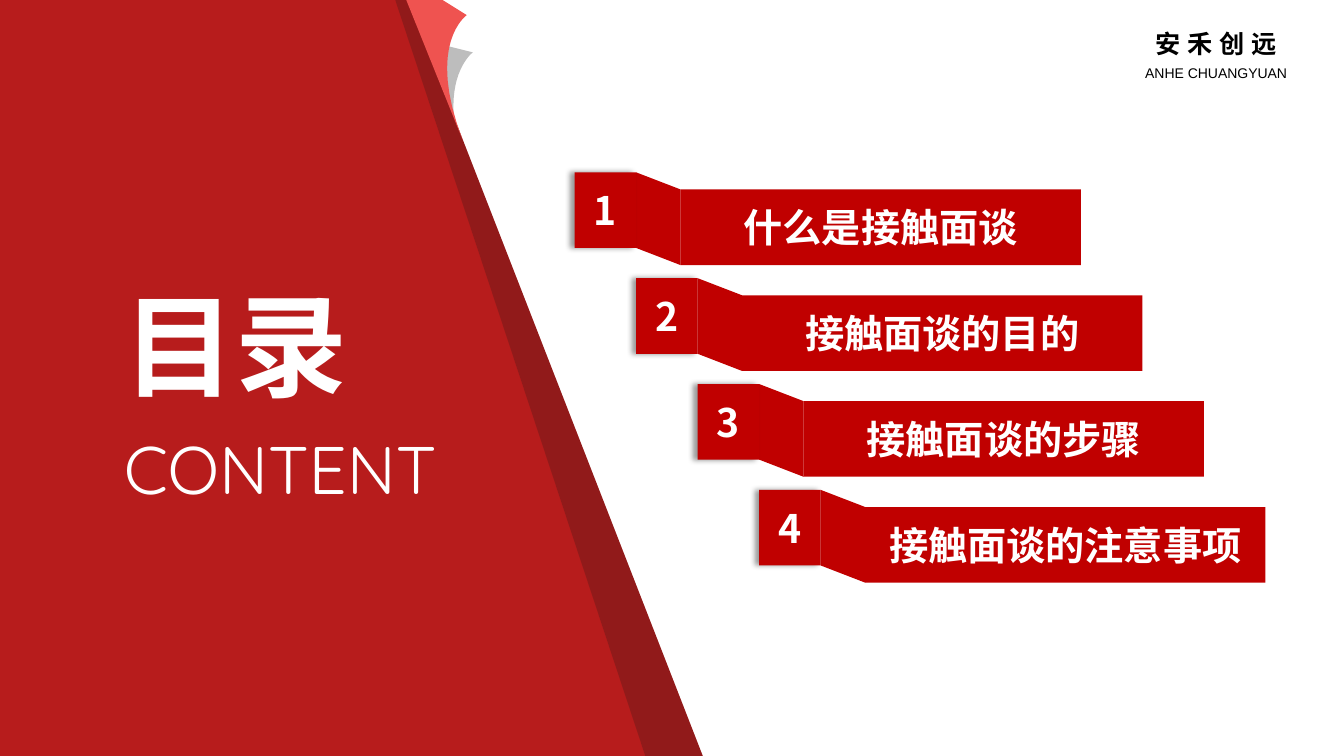
from lxml.etree import SubElement
from pptx import Presentation
from pptx.dml.color import RGBColor
from pptx.enum.shapes import MSO_SHAPE
from pptx.enum.text import MSO_ANCHOR, PP_ALIGN
from pptx.oxml.ns import qn
from pptx.util import Inches, Pt

SANS = "Noto Sans CJK SC"
TOPICS = ["什么是接触面谈", "接触面谈的目的", "接触面谈的步骤", "接触面谈的注意事项"]


def color(code):
    return RGBColor.from_string(code)


def paint(shape, fill, alpha=None):
    shape.shadow.inherit = False
    shape.fill.solid()
    shape.fill.fore_color.rgb = color(fill)
    shape.line.fill.background()
    if alpha:
        tint = shape.fill._xPr.find(qn("a:solidFill"))[0]
        SubElement(tint, qn("a:alpha"), val=str(alpha * 1000))
    return shape


def write(shape, text, size=28, font=SANS, fill="FFFFFF", bold=False,
          align=PP_ALIGN.LEFT, anchor=MSO_ANCHOR.TOP, gap=0):
    frame = shape.text_frame
    frame.word_wrap = True
    frame.vertical_anchor = anchor
    para = frame.paragraphs[0]
    para.alignment = align
    run = para.add_run()
    run.text = text
    run.font.size = Pt(size)
    run.font.name = font
    run.font.bold = bold
    run.font.color.rgb = color(fill)
    props = run._r.get_or_add_rPr()
    SubElement(props, qn("a:ea"), typeface=font)
    if gap:
        props.set("spc", str(gap * 100))


def label(slide, box, text, **style):
    write(slide.shapes.add_textbox(*map(Inches, box)), text, **style)


def block(slide, box, text):
    shape = slide.shapes.add_shape(MSO_SHAPE.RECTANGLE, *map(Inches, box))
    write(paint(shape, "C00000"), text, bold=True,
          align=PP_ALIGN.CENTER, anchor=MSO_ANCHOR.MIDDLE)
    return shape


def outline(slide, points, fill, alpha=None):
    dots = [(Inches(x), Inches(y)) for x, y in points]
    path = slide.shapes.build_freeform(*dots[0])
    path.add_line_segments(dots[1:], close=True)
    return paint(path.convert_to_shape(), fill, alpha)


def curve(start, bend, pull, end, steps=16):
    """Points along a cubic curve."""
    dots = []
    for n in range(steps + 1):
        t = n / steps
        u = 1 - t
        mix = (u ** 3, 3 * u * u * t, 3 * u * t * t, t ** 3)
        dots.append(tuple(sum(m * p[k] for m, p in zip(mix, (start, bend, pull, end)))
                          for k in (0, 1)))
    return dots


def cast(shape):
    """Soft shadow to the left of a number."""
    effects = shape._element.spPr.find(qn("a:effectLst"))
    shade = SubElement(effects, qn("a:outerShdw"), blurRad=str(Pt(4)), dist=str(Pt(3)),
                       dir="10800000", algn="r", rotWithShape="0")
    tint = SubElement(shade, qn("a:srgbClr"), val="000000")
    SubElement(tint, qn("a:alpha"), val="40000")


def panel(slide, x, y, high):
    # Red field and its dark edge
    for left in (x, x + 0.85):
        outline(slide, [(left, y), (left + 3.2, y), (left + 6.12, y + high),
                        (left, y + high)], "B71C1C")
    outline(slide, [(x + 3.92, y), (x + 4.05, y), (x + 6.97, y + high),
                    (x + 6.4, y + high)], "231815", 25)
    # Curled paper corners
    tip, base = (x + 4.69, y + 0.52), (x + 4.5, y + 1.14)
    outline(slide, [(x + 4.21, y + 0.4)] + curve(tip, tip, (x + 4.47, y + 0.68), base),
            "BDBDBD")
    tip, base = (x + 4.63, y + 0.15), (x + 4.59, y + 1.39)
    outline(slide, curve(base, (x + 4.22, y + 0.43), tip, tip)
            + [(x + 4.39, y), (x + 4.03, y)], "EF5350")


def title(slide, x, y):
    label(slide, (x, y + 1.5, 3.77, 0.91), "CONTENT", size=48, font="Quicksand")
    label(slide, (x, y, 2.7, 1.45), "目录", size=80, font="Quicksand", bold=True,
          align=PP_ALIGN.JUSTIFY)


def brand(slide, x, y):
    label(slide, (x + 0.1, y, 1.51, 0.4), "安禾创远", size=18, font="Noto Sans CJK JP",
          fill="000000", bold=True, gap=5)
    label(slide, (x, y + 0.36, 1.64, 0.27), "ANHE CHUANGYUAN", size=10, font="Arial",
          fill="000000")


def ribbon(slide, x, y, num, text):
    wide, high, fold, drop = 0.61, 0.75, 0.44, 0.17
    near, far = x + wide, x + wide + fold
    block(slide, (far, y + drop, 3.97, high), text)
    outline(slide, [(near, y), (near, y + high), (far, y + drop + high),
                    (far, y + drop)], "C00000")
    cast(block(slide, (x, y, wide, high), str(num)))


def main():
    deck = Presentation()
    deck.slide_width, deck.slide_height = Inches(13.33), Inches(7.5)
    slide = deck.slides.add_slide(deck.slide_layouts[6])
    panel(slide, 0, 0, 7.5)
    title(slide, 1.13, 2.69)
    brand(slide, 11.26, 0.23)
    # Topics step down to the right
    for i, text in enumerate(TOPICS):
        ribbon(slide, 5.7 + 0.61 * i, 1.71 + 1.05 * i, i + 1, text)
    deck.save("out.pptx")


if __name__ == "__main__":
    main()
